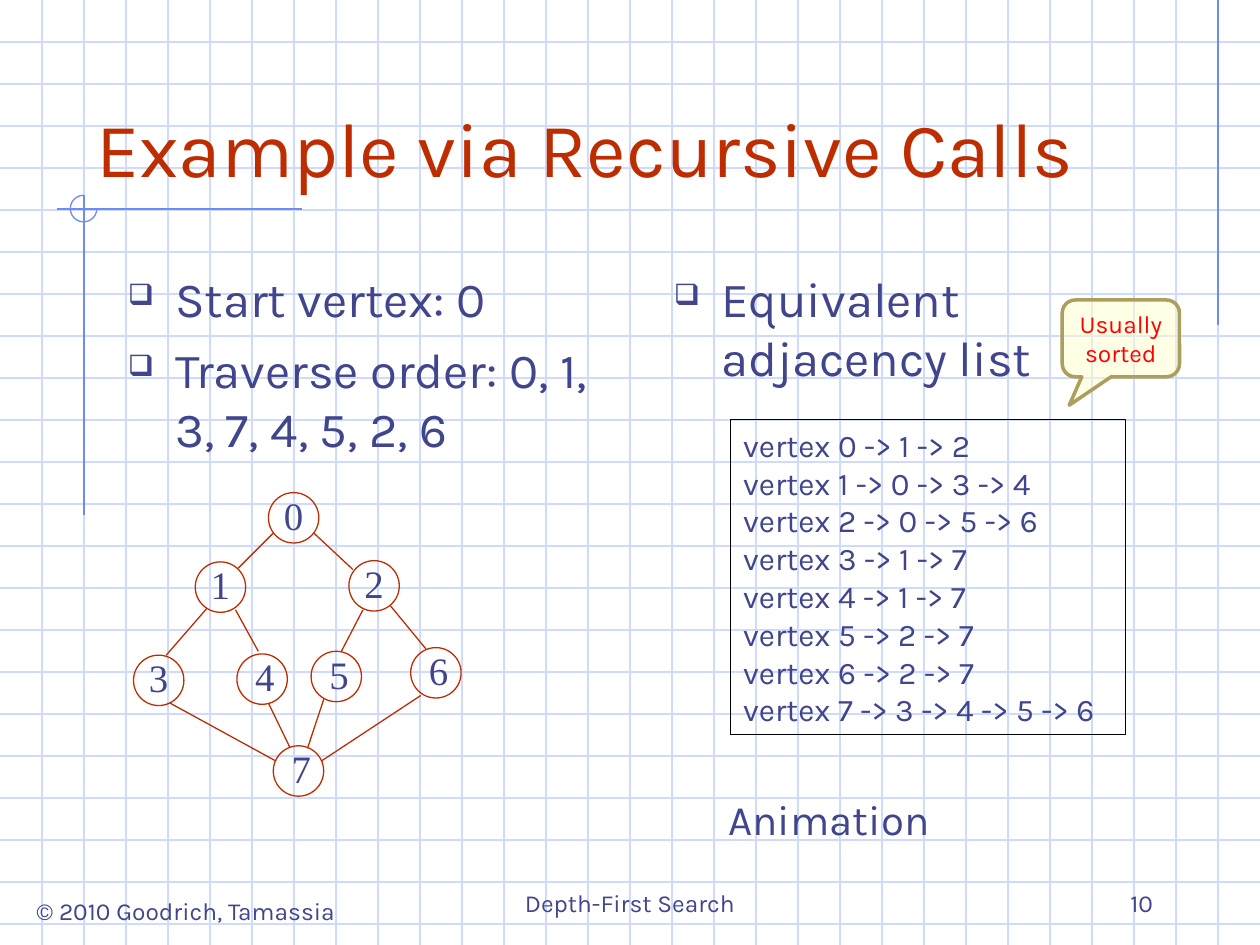
from typing import NamedTuple

from lxml import etree
from pptx import Presentation
from pptx.dml.color import RGBColor
from pptx.enum.shapes import MSO_CONNECTOR, MSO_SHAPE
from pptx.enum.text import MSO_ANCHOR, PP_ALIGN
from pptx.oxml.ns import qn
from pptx.util import Pt

LEFT, CENTER, RIGHT = PP_ALIGN.LEFT, PP_ALIGN.CENTER, PP_ALIGN.RIGHT
TOP, MIDDLE, BOTTOM = MSO_ANCHOR.TOP, MSO_ANCHOR.MIDDLE, MSO_ANCHOR.BOTTOM
STRAIGHT = MSO_CONNECTOR.STRAIGHT
ARC, OVAL, RECTANGLE = MSO_SHAPE.ARC, MSO_SHAPE.OVAL, MSO_SHAPE.RECTANGLE
CALLOUT = MSO_SHAPE.ROUNDED_RECTANGULAR_CALLOUT

WIDTH, HEIGHT, GRID = 720, 540, 24
NODE_SIZE = 28.8
GRID_BLUE, ACCENT_BLUE = "CFDBFD", "6F89F7"
INK, RUST, BLACK, RED = "40458C", "BE2D00", "000000", "FF0000"
CREAM, OLIVE = "FFFFCC", "AD9E5E"


class Box(NamedTuple):
    left: float
    top: float
    width: float
    height: float


class Segment(NamedTuple):
    x1: float
    y1: float
    x2: float
    y2: float


class Node(NamedTuple):
    label: str
    left: float
    top: float
    nudge: float = 0


class Label(NamedTuple):
    text: str
    box: Box
    style: dict


GUIDES = [
    Segment(696, 0, 696, 186),
    Segment(172.8, 119.5, 32.4, 119.5),
    Segment(48, 111.6, 48, 294.5),
]
NODES = [
    Node("0", 153.4, 281.5),
    Node("1", 111.6, 321.1),
    Node("2", 199.4, 320.4),
    Node("3", 76.3, 374.4),
    Node("4", 135.4, 373.7, 3.2),
    Node("5", 177.8, 372.2, 3.2),
    Node("6", 234.7, 370.1, 3.2),
    Node("7", 156.2, 426.2, 3.2),
]
EDGES = [
    Segment(156.2, 304.6, 136.1, 324.7),  # 0-1
    Segment(179.3, 304.6, 201.6, 325.4),  # 0-2
    Segment(118.1, 347.8, 95, 374.4),  # 1-3
    Segment(134.6, 348.5, 147.6, 372.2),  # 1-4
    Segment(207.4, 348.5, 195.1, 372.2),  # 2-5
    Segment(223.2, 346.3, 243.4, 370.8),  # 2-6
    Segment(153.4, 401.8, 165.6, 427),  # 4-7
    Segment(185, 399.6, 175.7, 427.7),  # 5-7
    Segment(97.2, 401.8, 157.7, 434.9),  # 3-7
    Segment(240.5, 397.4, 183.6, 434.9),  # 6-7
]
NEIGHBOURS = [(1, 2), (0, 3, 4), (0, 5, 6), (1, 7), (1, 7), (2, 7), (2, 7), (3, 4, 5, 6)]
BULLETED = {"size": 28, "bullet": "❑", "space_before": 7}
LABELS = [
    Label("© 2010 Goodrich, Tamassia", Box(8.6, 508.3, 195.1, 24.5), {"align": CENTER, "wrap": False}),
    Label("Example via Recursive Calls", Box(48, 24, 612, 90),
          {"size": 44, "color": RUST, "anchor": BOTTOM}),
    Label("Start vertex: 0\nTraverse order: 0, 1, 3, 7, 4, 5, 2, 6", Box(66, 150, 300, 324), BULLETED),
    Label("Equivalent adjacency list", Box(378, 150, 300, 324), BULLETED),
    Label("Depth-First Search", Box(246, 492, 228, 36), {"align": CENTER, "anchor": BOTTOM}),
    Label("10", Box(516, 492, 150, 36), {"align": RIGHT, "anchor": BOTTOM}),
    Label("Animation", Box(408.2, 450, 131, 36), {"size": 24, "align": CENTER, "wrap": False}),
]


def rgb(color: str) -> RGBColor:
    return RGBColor.from_string(color)


def add_bullet(paragraph, bullet: str, color: str) -> None:
    props = paragraph._p.get_or_add_pPr()
    props.set("marL", str(Pt(27)))
    props.set("indent", str(-Pt(27)))
    bullet_color = etree.SubElement(props, qn("a:buClr"))
    etree.SubElement(bullet_color, qn("a:srgbClr"), val=color)
    etree.SubElement(props, qn("a:buSzPct"), val="60000")
    etree.SubElement(props, qn("a:buChar"), char=bullet)


def write(shape, text: str, *, size: float = 14, font: str = "Karla", color: str = INK,
          align=LEFT, anchor=TOP, wrap: bool = True, insets=(7.2, 3.6, 7.2, 3.6),
          space_before: float = 0, line_spacing: float = 1, bullet: str = "") -> None:
    frame = shape.text_frame
    frame.word_wrap = wrap
    frame.vertical_anchor = anchor
    frame.margin_left, frame.margin_top, frame.margin_right, frame.margin_bottom = map(Pt, insets)
    frame.text = text
    for paragraph in frame.paragraphs:
        paragraph.alignment = align
        paragraph.space_before = Pt(space_before)
        paragraph.line_spacing = line_spacing
        if bullet:
            add_bullet(paragraph, bullet, color)
        for run in paragraph.runs:
            run.font.size = Pt(size)
            run.font.name = font
            run.font.color.rgb = rgb(color)


def draw_line(slide, segment: Segment, color: str) -> None:
    line = slide.shapes.add_connector(STRAIGHT, *map(Pt, segment))
    line.line.color.rgb = rgb(color)
    line.line.width = Pt(0.75)
    etree.SubElement(line._element.spPr, qn("a:effectLst"))


def draw_shape(slide, kind, box: Box, color: str, weight: float = 0.75):
    shape = slide.shapes.add_shape(kind, *map(Pt, box))
    shape.shadow.inherit = False
    shape.fill.background()
    shape.line.color.rgb = rgb(color)
    shape.line.width = Pt(weight)
    return shape


def draw_node(slide, node: Node) -> None:
    circle = draw_shape(slide, OVAL, Box(node.left, node.top, NODE_SIZE, NODE_SIZE), RUST)
    write(circle, node.label, size=22.2, font="Times New Roman", align=CENTER, anchor=MIDDLE,
          insets=(1.44 + node.nudge, 0.72, 1.44, 0.72), line_spacing=0.9)


def draw_background(slide) -> None:
    for y in range(GRID, HEIGHT, GRID):
        draw_line(slide, Segment(0, y, WIDTH, y), GRID_BLUE)
    for x in range(GRID, WIDTH, GRID):
        draw_line(slide, Segment(x, 0, x, HEIGHT), GRID_BLUE)
    for guide in GUIDES:
        draw_line(slide, guide, ACCENT_BLUE)
    # Three quarters of a circle, from the right round to the top
    compass = draw_shape(slide, ARC, Box(40.2, 111.6, 15.2, 15.2), ACCENT_BLUE)
    compass.adjustments[0], compass.adjustments[1] = 0, 162


def draw_callout(slide) -> None:
    callout = draw_shape(slide, CALLOUT, Box(607, 171.4, 67, 43.9), OLIVE, 2)
    for index, value in enumerate((-0.44, 0.87, 0.17)):
        callout.adjustments[index] = value
    callout.fill.solid()
    callout.fill.fore_color.rgb = rgb(CREAM)
    fill_color = callout._element.spPr.find(qn("a:solidFill")).find(qn("a:srgbClr"))
    etree.SubElement(fill_color, qn("a:alpha"), val="50000")
    write(callout, "Usually\nsorted", color=RED, align=CENTER, anchor=MIDDLE)


def main() -> None:
    deck = Presentation()
    deck.slide_width, deck.slide_height = Pt(WIDTH), Pt(HEIGHT)
    slide = deck.slides.add_slide(deck.slide_layouts[6])
    draw_background(slide)

    # Title, bullets and footer
    for label in LABELS:
        write(slide.shapes.add_textbox(*map(Pt, label.box)), label.text, **label.style)

    # Graph
    for node in NODES:
        draw_node(slide, node)
    for edge in EDGES:
        draw_line(slide, edge, RUST)

    # Adjacency list and its remark
    adjacency = draw_shape(slide, RECTANGLE, Box(417.6, 239.8, 225.4, 180), BLACK)
    rows = [" -> ".join(map(str, (f"vertex {vertex}", *others)))
            for vertex, others in enumerate(NEIGHBOURS)]
    write(adjacency, "\n".join(rows), size=18)
    draw_callout(slide)

    deck.save("out.pptx")


if __name__ == "__main__":
    main()
